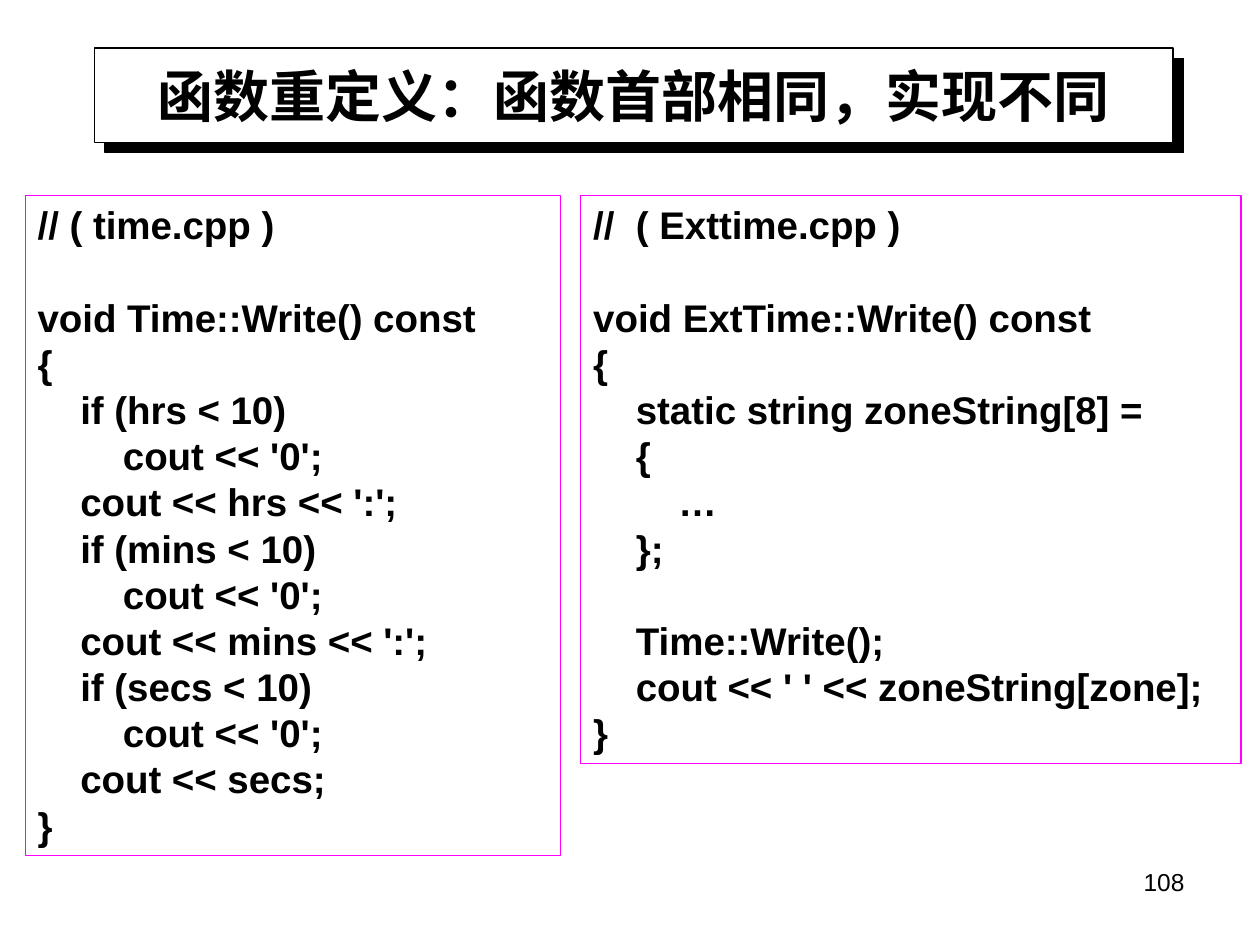
from lxml import etree
from pptx import Presentation
from pptx import util as u
from pptx.dml.color import RGBColor
from pptx.enum import text as t
from pptx.oxml import ns

THEME = {
    "font": "Arial", "ink": "000000", "paper": "FFFFFF", "edge": "FF00FF",
    "head": 32, "code": 22, "page": 14, "rule": 0.75, "gap": 26.3,
}

HEAD = "函数重定义：函数首部相同，实现不同"
PAGE = "108"
CODE = [
    {"left": 0.2, "width": 4.25, "height": 5.24, "parts": [
        """// ( time.cpp )""",
        """void Time::Write() const
{
    if (hrs < 10)
        cout << '0';
    cout << hrs << ':';
    if (mins < 10)
        cout << '0';
    cout << mins << ':';
    if (secs < 10)
        cout << '0';
    cout << secs;
}""",
    ]},
    {"left": 4.61, "width": 5.24, "height": 4.51, "parts": [
        """//  ( Exttime.cpp )""",
        """void ExtTime::Write() const
{
    static string zoneString[8] =
    {
        …
    };""",
        """    Time::Write();
    cout << ' ' << zoneString[zone];
}""",
    ]},
]
TOP = 1.55


def tint(name):
    return RGBColor.from_string(THEME[name])


def write(shape, parts, size, bold=False, align=t.PP_ALIGN.LEFT,
          anchor=t.MSO_ANCHOR.TOP, fit=t.MSO_AUTO_SIZE.NONE):
    frame = shape.text_frame
    frame.word_wrap = True
    frame.auto_size = fit
    frame.vertical_anchor = anchor
    lines = [(line, i > 0 and j == 0)
             for i, part in enumerate(parts)
             for j, line in enumerate(part.split("\n"))]
    for i, (line, gap) in enumerate(lines):
        para = frame.add_paragraph() if i else frame.paragraphs[0]
        para.alignment = align
        para.space_before = u.Pt(THEME["gap"] if gap else 0)
        run = para.add_run()
        run.text = line
        font = run.font
        font.name, font.bold = THEME["font"], bold
        font.size = u.Pt(THEME[size])
        font.color.rgb = tint("ink")


def place(shape, *box):
    shape.left, shape.top, shape.width, shape.height = map(u.Inches, box)


def frame_box(shape, color):
    shape.line.color.rgb = tint(color)
    shape.line.width = u.Pt(THEME["rule"])


def cast(shape, dist, angle):
    props = shape.element.spPr
    effect = etree.SubElement(props, ns.qn("a:effectLst"))
    shade = etree.SubElement(
        effect, ns.qn("a:outerShdw"), dist=str(u.Pt(dist)),
        dir=str(angle * 60000), algn="ctr", rotWithShape="0")
    etree.SubElement(shade, ns.qn("a:srgbClr"), val=THEME["ink"])


def main():
    deck = Presentation()
    deck.slide_width, deck.slide_height = u.Inches(10), u.Inches(7.5)
    slide = deck.slides.add_slide(deck.slide_layouts[5])

    title = slide.shapes.title
    place(title, 0.75, 0.38, 8.56, 0.75)
    title.fill.solid()
    title.fill.fore_color.rgb = tint("paper")
    frame_box(title, "ink")
    cast(title, 8.5, 45)
    write(title, [HEAD], "head", bold=True, align=t.PP_ALIGN.CENTER,
          anchor=t.MSO_ANCHOR.MIDDLE)

    for code in CODE:
        box = slide.shapes.add_textbox(0, 0, 0, 0)
        place(box, code["left"], TOP, code["width"], code["height"])
        frame_box(box, "edge")
        write(box, code["parts"], "code", bold=True,
              fit=t.MSO_AUTO_SIZE.SHAPE_TO_FIT_TEXT)

    page = slide.shapes.add_textbox(0, 0, 0, 0)
    place(page, 7.17, 6.83, 2.33, 0.52)
    write(page, [PAGE], "page", align=t.PP_ALIGN.RIGHT)

    deck.save("out.pptx")


if __name__ == "__main__":
    main()
